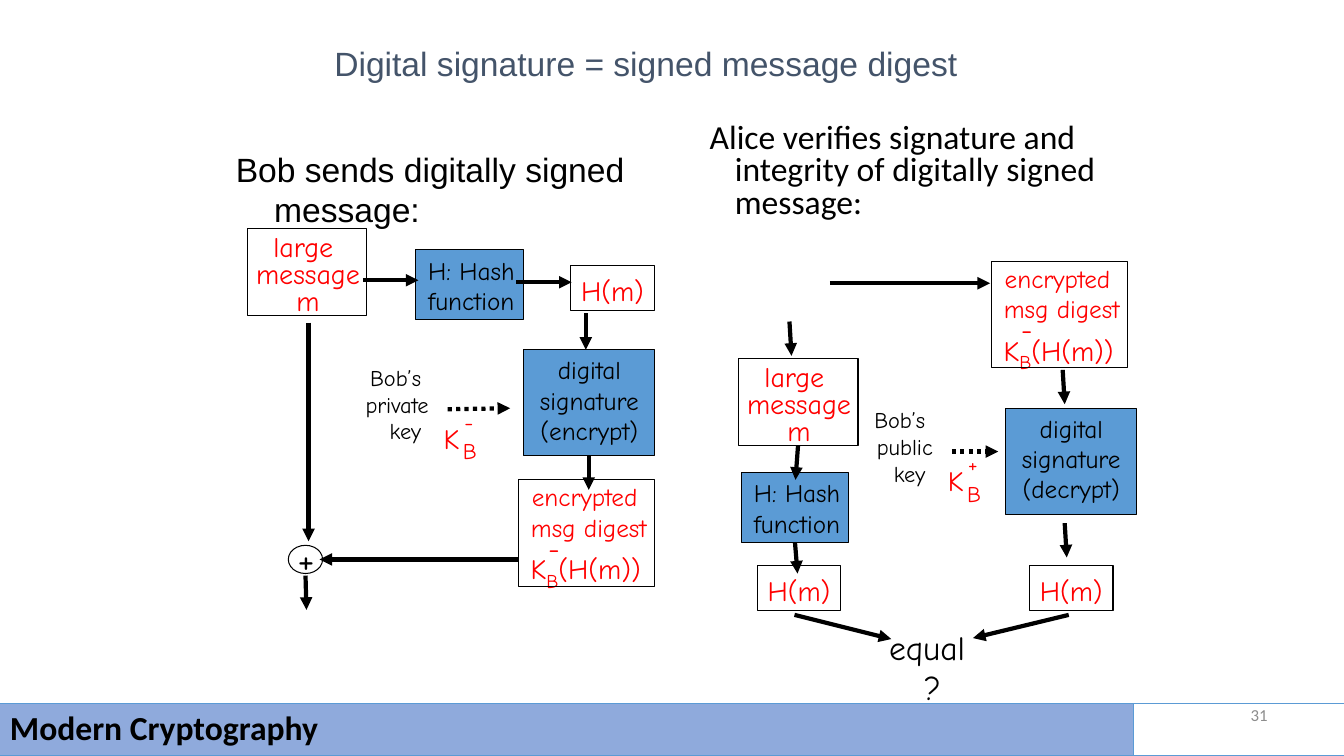
"""Build the slide on digital signatures as signed message digests."""
from lxml import etree
from pptx import Presentation
from pptx import util as u
from pptx.dml import color
from pptx.enum import dml, shapes, text
from pptx.oxml import ns

HUES = {"white": "FFFFFF", "black": "000000", "red": "FF0000", "blue": "5B9BD5",
        "bar": "8FAADC", "slate": "44546A", "gray": "8C8C8C"}
RGB = {name: color.RGBColor.from_string(code) for name, code in HUES.items()}

deck = Presentation()
deck.slide_width, deck.slide_height = u.Inches(13.33), u.Inches(7.5)
slide = deck.slides.add_slide(deck.slide_layouts[6])


def box(at, fill=None, line="black", kind="RECTANGLE"):
    """Add an outlined shape, filled if a fill is named."""
    form = slide.shapes.add_shape(shapes.MSO_SHAPE[kind], *map(u.Inches, at))
    form.shadow.inherit = False
    form.line.color.rgb, form.line.width = RGB[line], u.Pt(0.75)
    if fill:
        form.fill.solid()
        form.fill.fore_color.rgb = RGB[fill]
    else:
        form.fill.background()
    return form


def words(at, lines, size, hue="black", align="CENTER", face="Comic Neue",
          wrap=True, anchor="TOP", space=None, hang=0, bold=False):
    """Add a text box; the part between underscores is a subscript."""
    frame = slide.shapes.add_textbox(*map(u.Inches, at)).text_frame
    frame.word_wrap, frame.vertical_anchor = wrap, text.MSO_ANCHOR[anchor]
    for row, line in enumerate(lines):
        para = frame.add_paragraph() if row else frame.paragraphs[0]
        para.alignment, para.line_spacing = text.PP_ALIGN[align], space
        if hang:
            props = para._p.get_or_add_pPr()
            props.set("marL", str(u.Inches(hang)))
            props.set("indent", str(-u.Inches(hang)))
        for place, part in enumerate(line.split("_")):
            run = para.add_run()
            run.text = part
            look = {"name": face, "size": u.Pt(24 if place == 1 else size), "bold": bold}
            for key, value in look.items():
                setattr(run.font, key, value)
            run.font.color.rgb = RGB[hue]
            if place == 1:
                run._r.get_or_add_rPr().set("baseline", "-25000")


large, hashes, signs = [], [], []
for x, y in [(2.45, 2.27), (7.32, 3.56)]:
    large.append(box((x, y, 1.19, 0.86), "white"))
    words((x - 0.13, y + 0.02, 1.47, 0.9), ["large ", "message", "m"], 20, "red", space=0.8)

for x, y in [(4.12, 2.48), (7.35, 4.69)]:
    hashes.append(box((x, y, 1.07, 0.69), "blue"))
    words((x - 0.03, y, 1.17, 0.7), ["H: Hash", "function"], 18, wrap=False)

for x, y in [(5.66, 2.63), (7.51, 5.61), (10.21, 5.61)]:
    box((x, y, 0.83, 0.45), "white")
    words((x - 0.06, y + 0.03, 0.95, 0.43), ["H(m)"], 20, "red")

for x, y, act in [(5.19, 3.47, "(encrypt)"), (9.97, 4.05, "(decrypt)")]:
    signs.append(box((x, y, 1.3, 1.05), "blue"))
    words((x + 0.01, y, 1.29, 1), ["digital", "signature", act], 18, wrap=False)

for x, y in [(5.14, 4.76), (9.83, 2.59)]:
    words((x - 0.13, y + 0.61, 1.6, 0.43), ["K_B_(H(m))"], 20, "red")
    words((x - 0.11, y + 0.45, 0.93, 0.43), ["-"], 20, "red")
    box((x, y, 1.35, 1.06))
    words((x - 0.24, y - 0.03, 1.88, 0.7), ["encrypted ", "msg digest"], 18, "red")

for x, y, kind, sign in [(3.3, 3.56, "private", "-"), (8.3, 3.98, "public", "+")]:
    words((x, y, 1.05, 0.9), ["Bob’s ", kind, "key "], 16, align="RIGHT")
    words((x + 1, y + 0.57, 0.45, 0.43), ["K "], 20, "red", wrap=False)
    words((x + 1.19, y + 0.73, 0.34, 0.37), ["B"], 16, "red", wrap=False)
    words((x + 1.2, y + 0.44, 0.3, 0.37), [sign], 16, "red", wrap=False)

words((2.57, 5.25, 0.93, 0.57), ["+"], 28)
box((2.86, 5.41, 0.34, 0.28), kind="OVAL")
words((8.41, 6.17, 1.57, 0.91), ["equal", " ?"], 24)

ARROWS = [
    (3.6, 2.78, 4.15, 2.78, None), (5.12, 2.8, 5.67, 2.8, None),
    (5.81, 3.11, 5.81, 3.47, None), (5.84, 4.52, 5.84, 4.86, signs[0]),
    (3.06, 3.2, 3.06, 5.37, None), (3.03, 5.71, 3.04, 6.05, None),
    (5.14, 5.55, 3.17, 5.55, None), (8.23, 2.81, 9.82, 2.81, None),
    (7.83, 3.19, 7.85, 3.53, None), (7.88, 4.41, 7.89, 4.76, large[1]),
    (7.89, 5.35, 7.91, 5.69, hashes[1]), (10.54, 3.67, 10.56, 4.01, None),
    (10.56, 5.19, 10.58, 5.53, None), (7.88, 6.1, 8.84, 6.34, None),
    (10.6, 6.1, 9.65, 6.33, None),
]
DOTTED = [(4.44, 4.06, 5.06, 4.05, None), (9.44, 4.48, 9.9, 4.48, None)]
for *ends, start in ARROWS + DOTTED:
    arrow = slide.shapes.add_connector(shapes.MSO_CONNECTOR.STRAIGHT, *map(u.Inches, ends))
    if start:
        arrow.begin_connect(start, 2)
    arrow.line.color.rgb, arrow.line.width = RGB["black"], u.Pt(3)
    if (*ends, start) in DOTTED:
        arrow.line.dash_style = dml.MSO_LINE.ROUND_DOT
    tip = etree.SubElement(arrow.line._get_or_add_ln(), ns.qn("a:tailEnd"))
    tip.set("type", "triangle")
    etree.SubElement(arrow._element.spPr, ns.qn("a:effectLst"))

words((1.93, 0, 8.95, 1.25), ["Digital signature = signed message digest"], 24, "slate",
      face="Arial", anchor="MIDDLE")
words((2.24, 1.43, 4.17, 1.23), ["Bob sends digitally signed message:"], 24,
      align="LEFT", face="Arial", hang=0.38)
words((6.94, 1.18, 4.37, 1.16),
      ["Alice verifies signature and integrity of digitally signed message:"], 24,
      align="LEFT", face="Calibri", space=0.8, hang=0.25)

box((0, 6.98, 11.24, 0.52), "bar", "blue")
words((0, 6.98, 11.24, 0.52), ["Modern Cryptography"], 24, align="LEFT", face="Calibri",
      anchor="MIDDLE", space=0.9, bold=True)
box((11.24, 6.98, 2.1, 0.52), line="blue")
words((9.56, 6.83, 3.11, 0.52), ["31"], 12, "gray", "RIGHT", "Calibri", anchor="MIDDLE")

deck.save("out.pptx")
